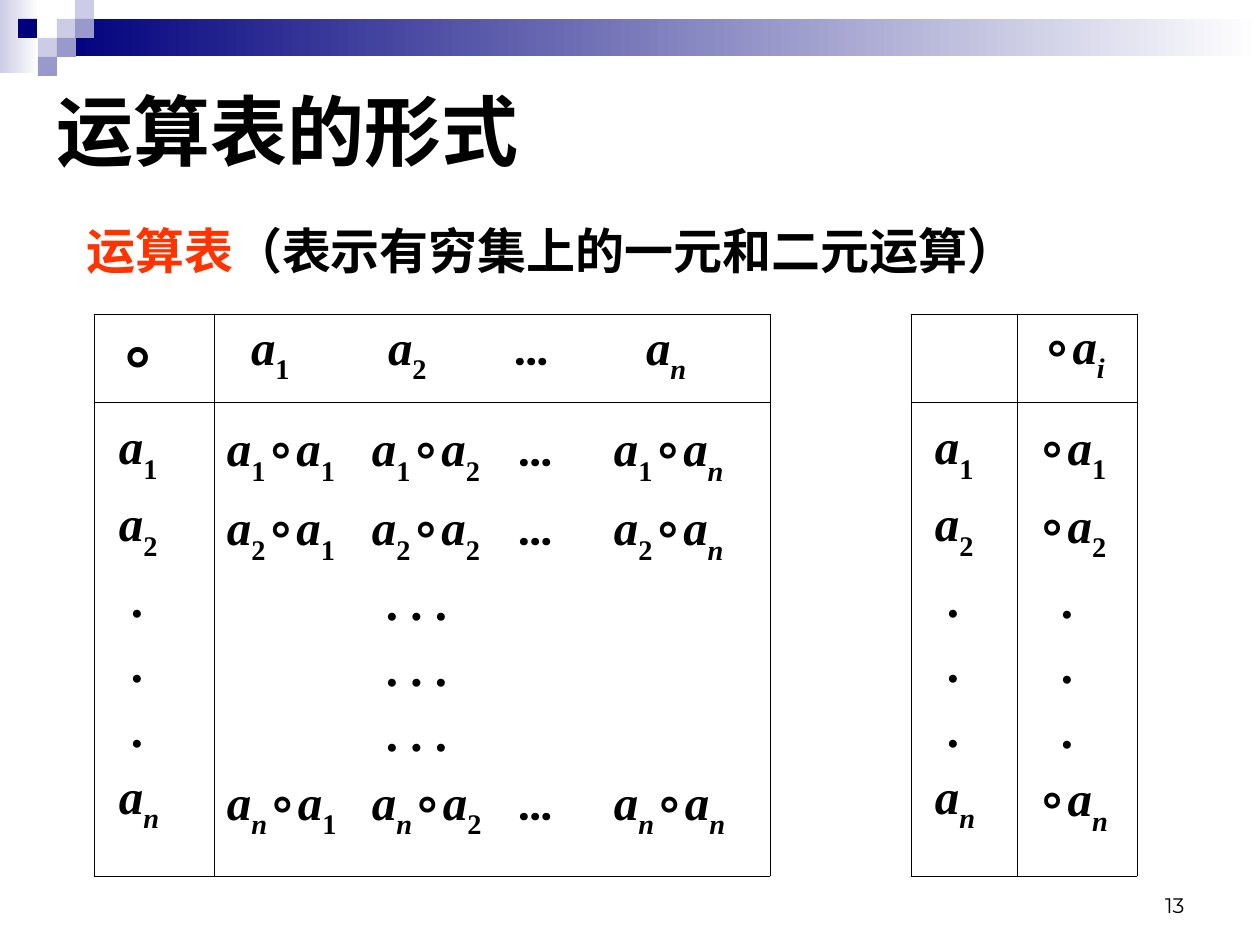
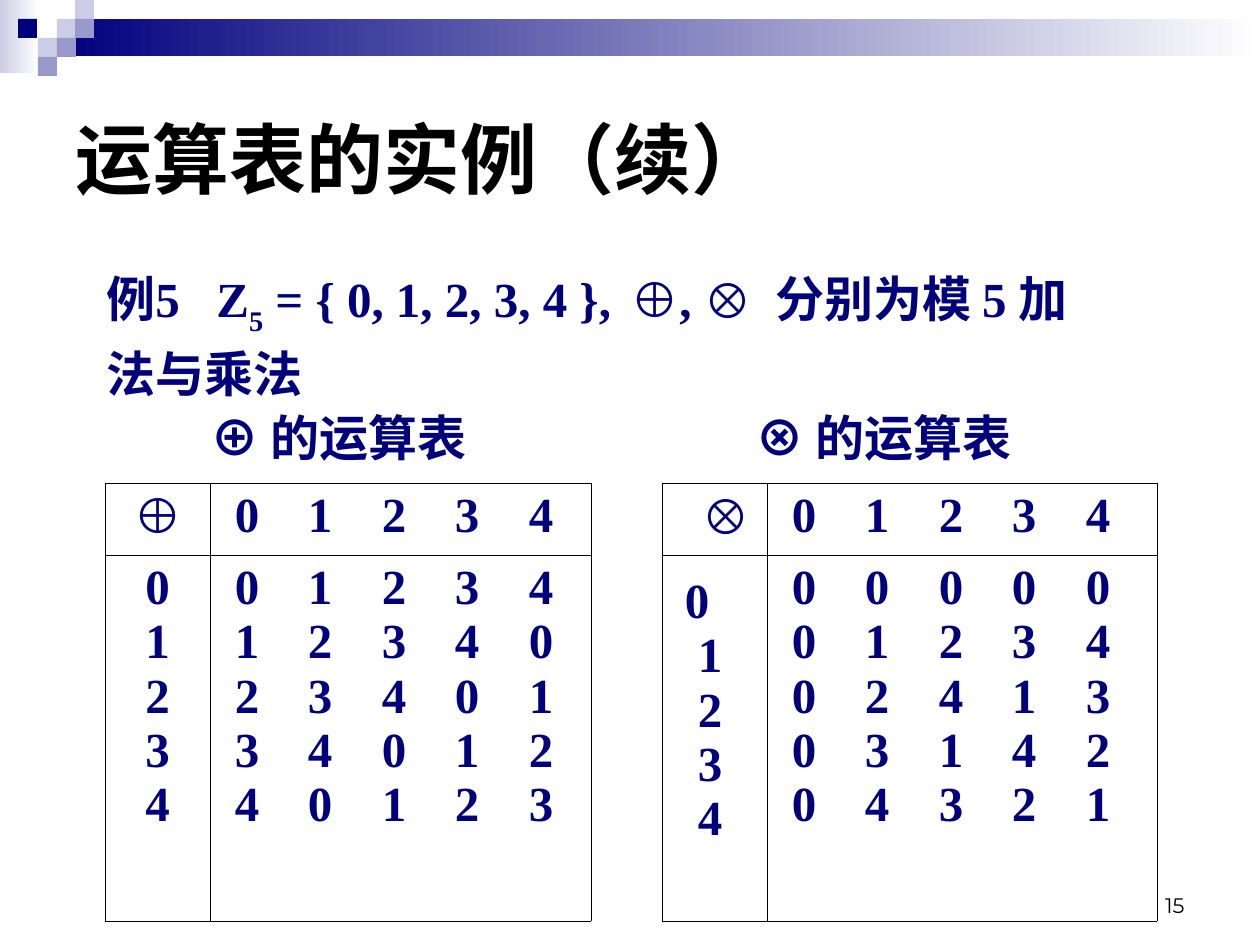
from itertools import groupby

from lxml.etree import SubElement
from pptx import Presentation
from pptx.dml.color import RGBColor
from pptx.enum.shapes import MSO_SHAPE
from pptx.enum.text import MSO_ANCHOR, MSO_AUTO_SIZE, PP_ALIGN
from pptx.oxml.ns import qn
from pptx.util import Emu, Pt

BLACK = RGBColor(0x00, 0x00, 0x00)
WHITE = RGBColor(0xFF, 0xFF, 0xFF)
NAVY = RGBColor(0x00, 0x00, 0x7D)
LILAC = RGBColor(0x99, 0x99, 0xCC)
PALE = RGBColor(0xCC, 0xCC, 0xE6)
RED = RGBColor(0xFF, 0x33, 0x00)

SERIF = "Times New Roman"
CHINESE = "Noto Sans CJK SC"
SYMBOL_FONTS = {"∘": "Arial", "⊕": "Arial", "⊗": "Arial", "…": "Roboto"}
BORDER = Pt(0.45)


def px(length):
    return Emu(round(length * 914400 / 126))


def write(paragraph, text, color=BLACK, size=28, font=SERIF, bold=True, tabs=()):
    """Add runs: "_" lowers the next character, a, n and i are italic variables."""
    styled = [(char, (SYMBOL_FONTS.get(char, font), char in "ani", text[:k].endswith("_")))
              for k, char in enumerate(text) if char != "_"]
    for (face, italic, lowered), group in groupby(styled, key=lambda pair: pair[1]):
        run = paragraph.add_run()
        run.text = "".join(char for char, _ in group)
        run.font.size, run.font.bold, run.font.italic = Pt(size), bold, italic
        run.font.color.rgb = color
        run.font.name = face
        properties = run.font._element
        SubElement(properties, qn("a:ea"), typeface=CHINESE)
        if lowered:
            properties.set("baseline", "-30000")
    if tabs:
        stops = SubElement(paragraph._p.get_or_add_pPr(), qn("a:tabLst"))
        for stop in tabs:
            SubElement(stops, qn("a:tab"), pos=str(px(stop)), algn="l")


# Header ornament: left, top, width, height, colour, fades to white
ornament = [(0, 0, 39, 73, PALE, True), (57, 19, 1203, 37, NAVY, True)]
ornament += [(left, top, 19, 19, color, False) for left, top, color in [
    (57, 19, PALE), (75, 0, PALE), (75, 19, LILAC), (38, 38, PALE),
    (18, 19, NAVY), (57, 38, LILAC), (38, 57, LILAC)]]

# Each cell: left margin, tab stops, lines
indices = "12n"
dots = ["\t."] * 3
products = [f"a_{i}∘a_1\ta_{i}∘a_2\t…\ta_{i}∘a_n" for i in indices]
elements = [f"a_{i}" for i in indices]
images = [f"∘a_{i}" for i in indices]
general_cells = [
    [(25, (), ["∘"]),
     (13, (24, 161, 286, 419), ["\ta_1\ta_2\t…\ta_n"]),
     None,
     (13, (), []),
     (25, (), ["∘a_i"])],
    [(25, (12,), elements[:2] + dots + elements[2:]),
     (13, (145, 159, 290, 387), products[:2] + ["\t\t. . ."] * 3 + products[2:]),
     None,
     (24, (12,), elements[:2] + dots + elements[2:]),
     (20, (24,), images[:2] + dots + images[2:])],
]

residues = range(5)
digit_stops = (73, 147, 220, 294)
digits = ["\t".join(map(str, residues))]
sums = ["\t".join(str((i + j) % 5) for j in residues) for i in residues]
multiples = ["\t".join(str(i * j % 5) for j in residues) for i in residues]
modular_cells = [
    [(13, (), ["⊕"]), (25, digit_stops, digits), None,
     (40, (), ["⊗"]), (25, digit_stops, digits)],
    [(13, (), [str(i) for i in residues]), (25, digit_stops, sums), None,
     (23, (13,), ["0"] + [f"\t{i}" for i in residues[1:]]),
     (25, digit_stops, multiples)],
]

# Statement lines: list of (text, colour) pieces, tab stops
pages = [
    dict(number="13", title="运算表的形式", title_at=(44, 35),
         statement_at=(74, 214, 1081, 72), statement_spacing=1.0,
         statement=[([("运算表", RED), ("（表示有穷集上的一元和二元运算）", BLACK)], ())],
         table_at=(94, 314), columns=(120, 556, 141, 106, 120), rows=(88, 474),
         cells=general_cells, color=BLACK, body_spacing=1.2,
         centred=False, lowered_column=None),
    dict(number="15", title="运算表的实例（续）", title_at=(63, 63),
         statement_at=(94, 255, 1014, 215), statement_spacing=1.1,
         statement=[([("例5\tZ_5 = { 0, 1, 2, 3, 4 },\t⊕, ⊗\t分别为模 5 加法与乘法", NAVY)],
                     (110, 524, 669)),
                    ([("\t⊕ 的运算表\t⊗ 的运算表", NAVY)], (104, 649))],
         table_at=(105, 483), columns=(105, 381, 71, 105, 390), rows=(72, 366),
         cells=modular_cells, color=NAVY, body_spacing=1.0,
         centred=True, lowered_column=3),
]

prs = Presentation()
prs.slide_width, prs.slide_height = px(1260), px(945)

for page in pages:
    slide = prs.slides.add_slide(prs.slide_layouts[5])

    for left, top, width, height, color, fades in ornament:
        block = slide.shapes.add_shape(MSO_SHAPE.RECTANGLE, px(left), px(top), px(width), px(height))
        block.shadow.inherit = False
        block.line.fill.background()
        if fades:
            block.fill.gradient()
            block.fill.gradient_angle = 0
            for stop, shade, position in zip(block.fill.gradient_stops, (color, WHITE), (0, 1)):
                stop.color.rgb, stop.position = shade, position
        else:
            block.fill.solid()
            block.fill.fore_color.rgb = color

    title = slide.shapes.title
    title.left, title.top = map(px, page["title_at"])
    title.width, title.height = px(1134), px(189)
    title.text_frame.vertical_anchor = MSO_ANCHOR.MIDDLE
    title.text_frame.auto_size = MSO_AUTO_SIZE.NONE
    heading = title.text_frame.paragraphs[0]
    heading.alignment = PP_ALIGN.LEFT
    write(heading, page["title"], size=44, font="Arial")

    footer = slide.shapes.add_textbox(px(903), px(861), px(294), px(63)).text_frame
    footer.word_wrap = True
    footer.vertical_anchor = MSO_ANCHOR.BOTTOM
    footer.paragraphs[0].alignment = PP_ALIGN.RIGHT
    write(footer.paragraphs[0], page["number"], size=12, font="Montserrat", bold=False)

    statement = slide.shapes.add_textbox(*map(px, page["statement_at"])).text_frame
    statement.word_wrap = True
    for k, (pieces, stops) in enumerate(page["statement"]):
        line = statement.add_paragraph() if k else statement.paragraphs[0]
        line.line_spacing = page["statement_spacing"]
        for text, color in pieces:
            write(line, text, color, tabs=stops)

    left, top = page["table_at"]
    table = slide.shapes.add_table(2, 5, px(left), px(top), px(sum(page["columns"])),
                                   px(sum(page["rows"]))).table
    table.first_row = table.horz_banding = False
    for column, width in zip(table.columns, page["columns"]):
        column.width = px(width)
    for row, height in zip(table.rows, page["rows"]):
        row.height = px(height)
    table.cell(0, 2).merge(table.cell(1, 2))

    for r, row_cells in enumerate(page["cells"]):
        for c, content in enumerate(row_cells):
            cell = table.cell(r, c)
            for side in "LRTB":
                edge = SubElement(cell._tc.get_or_add_tcPr(), qn(f"a:ln{side}"), w=str(BORDER))
                if content is None and side in "TB":
                    SubElement(edge, qn("a:noFill"))
                else:
                    paint = SubElement(edge, qn("a:solidFill"))
                    SubElement(paint, qn("a:srgbClr"), val=str(BLACK))
            cell.fill.background()
            if content is None:
                continue
            margin, stops, lines = content
            cell.margin_left = px(margin)
            cell.margin_right = px(13)
            cell.margin_top = px(20 if r and c == page["lowered_column"] else 6)
            for k, text in enumerate(lines):
                line = cell.text_frame.add_paragraph() if k else cell.text_frame.paragraphs[0]
                line.line_spacing = page["body_spacing"] if r else 1.0
                if page["centred"] and c == 0:
                    line.alignment = PP_ALIGN.CENTER
                write(line, text, page["color"], size=36 if text == "∘" else 28, tabs=stops)

prs.save("out.pptx")
